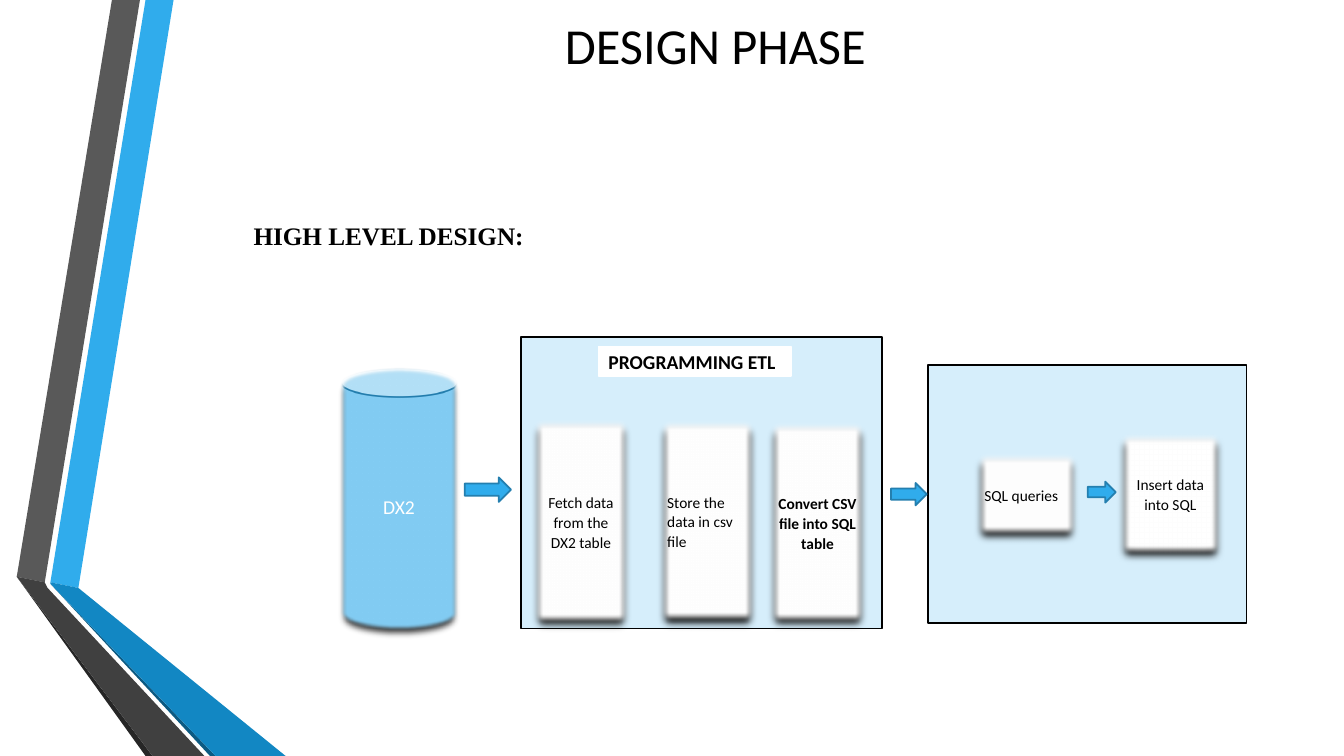
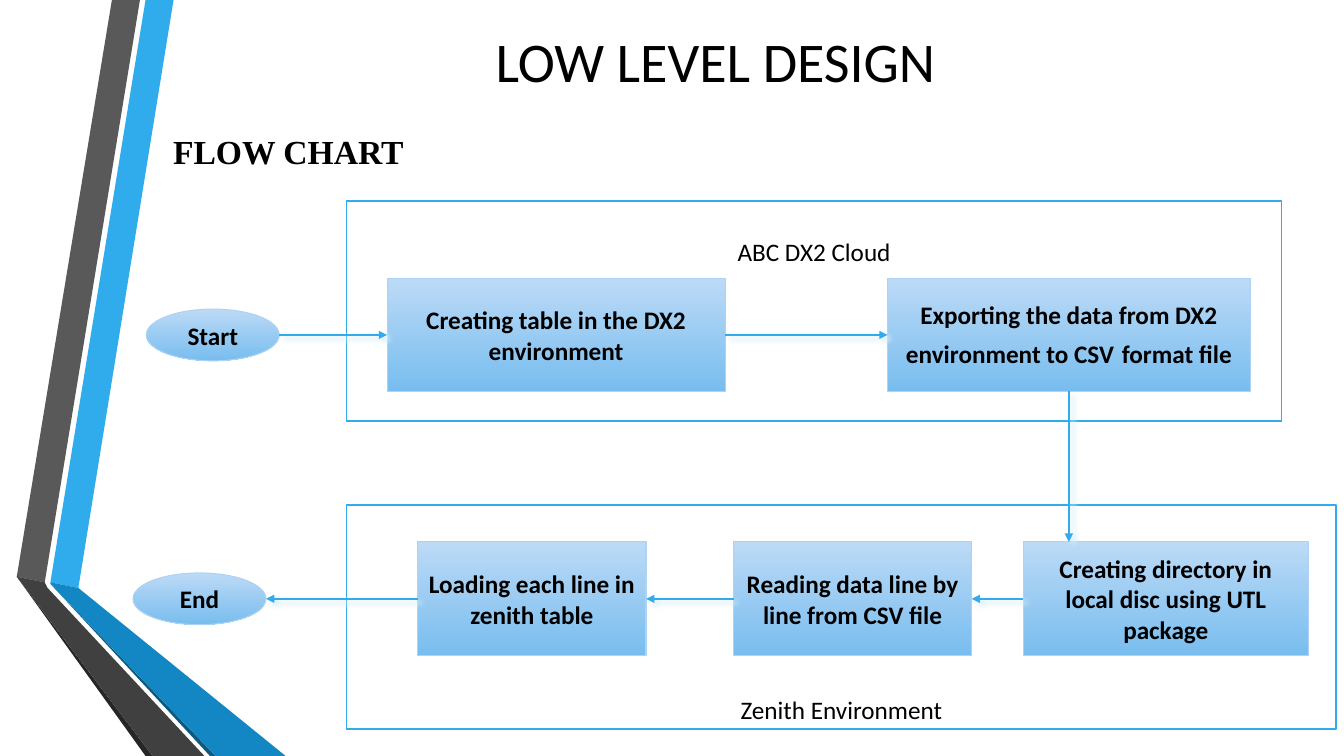
from dataclasses import dataclass

import lxml.etree
import pptx
import pptx.dml.color
import pptx.enum.shapes
import pptx.enum.text
import pptx.oxml.ns
import pptx.presentation
import pptx.shapes.autoshape
import pptx.shapes.base
import pptx.slide
import pptx.util

Pt = pptx.util.Pt
Preset = pptx.enum.shapes.MSO_SHAPE
Align = pptx.enum.text.PP_ALIGN
Anchor = pptx.enum.text.MSO_ANCHOR
qn = pptx.oxml.ns.qn


@dataclass(frozen=True)
class Theme:
    black: str = "000000"
    white: str = "FFFFFF"
    accent: str = "30ACEC"
    accent_edge: str = "247FAF"
    pale: str = "D6EEFB"
    database: str = "83CDF4"
    shadow: str = "212121"
    gradient: tuple[str, str] = ("BCDAF6", "78BDEF")
    gradient_edge: str = "AED2F4"
    body_font: str = "Calibri"
    heading_font: str = "Times New Roman"
    small: float = 11
    label: float = 14
    body: float = 18
    large: float = 24
    edge: float = 1.25


THEME = Theme()


@dataclass(frozen=True)
class Box:
    left: float
    top: float
    width: float
    height: float

    @property
    def right(self) -> float:
        return self.left + self.width

    @property
    def bottom(self) -> float:
        return self.top + self.height

    @property
    def center(self) -> float:
        return self.left + self.width / 2

    @property
    def middle(self) -> float:
        return self.top + self.height / 2

    def lengths(self) -> tuple[pptx.util.Length, ...]:
        return Pt(self.left), Pt(self.top), Pt(self.width), Pt(self.height)


@dataclass(frozen=True)
class Card:
    box: Box
    text: str
    align: Align = Align.CENTER
    bold: bool = False


@dataclass(frozen=True)
class Node:
    """A flow chart step; its text may be pieces, each with its own size."""
    box: Box
    text: str | tuple[tuple[str, float], ...]
    preset: Preset = Preset.RECTANGLE


@dataclass(frozen=True)
class Band:
    color: str
    points: tuple[tuple[float, float], ...]


BANDS = (
    Band(THEME.accent, ((36, 416), (55.5, 420), (124.5, 0), (104.5, 0))),
    Band("595959", ((100, 0), (80, 0), (11.75, 412.5), (31.75, 415.5))),
    Band("262626", ((11.75, 412.5), (104.5, 540), (109, 540))),
    Band("0C5A82", ((36, 417), (150, 540), (154, 540))),
    Band("1287C3", ((36, 416), (36, 417), (154, 540), (204, 540), (55.5, 420))),
    Band("404040", ((11.75, 412.5), (109, 540), (145.5, 540), (34.5, 420), (31.75, 415.5))),
)


def rgb(color: str) -> pptx.dml.color.RGBColor:
    return pptx.dml.color.RGBColor.from_string(color)


def write_text(
    shape: pptx.shapes.autoshape.Shape,
    text: str | tuple[tuple[str, float], ...],
    *,
    size: float = THEME.body,
    font: str = THEME.body_font,
    color: str = THEME.black,
    bold: bool = False,
    align: Align = Align.CENTER,
    anchor: Anchor = Anchor.MIDDLE,
    wrap: bool = True,
    line_spacing: float = 1.0,
    space_after: float = 0,
    margin_top: float = 3.6,
) -> None:
    frame = shape.text_frame
    frame.word_wrap = wrap
    frame.vertical_anchor = anchor
    frame.margin_top = Pt(margin_top)
    paragraph = frame.paragraphs[0]
    paragraph.alignment = align
    paragraph.line_spacing = line_spacing
    paragraph.space_after = Pt(space_after)
    pieces = ((text, size),) if isinstance(text, str) else text
    for piece, piece_size in pieces:
        run = paragraph.add_run()
        run.text = piece
        run.font.size = Pt(piece_size)
        run.font.name = font
        run.font.bold = bold
        run.font.color.rgb = rgb(color)


def set_effects(
    shape: pptx.shapes.base.BaseShape, *, shadow: str, angle: int = 90, soft_edge: float = 0
) -> None:
    properties = shape.element.spPr
    effects = properties.find(qn("a:effectLst"))
    if effects is None:
        effects = lxml.etree.SubElement(properties, qn("a:effectLst"))
    outer = lxml.etree.SubElement(
        effects, qn("a:outerShdw"), blurRad=str(Pt(4)), dist=str(Pt(4)),
        dir=str(angle * 60000), rotWithShape="0",
    )
    lxml.etree.SubElement(outer, qn("a:srgbClr"), val=shadow)
    if soft_edge:
        lxml.etree.SubElement(effects, qn("a:softEdge"), rad=str(Pt(soft_edge)))


def add_shape(
    slide: pptx.slide.Slide,
    box: Box,
    *,
    preset: Preset = Preset.RECTANGLE,
    fill: str | tuple[str, str] | None = None,
    line: str,
    width: float = THEME.edge,
) -> pptx.shapes.autoshape.Shape:
    """Add a preset shape; a pair of fill colours runs from top to bottom."""
    shape = slide.shapes.add_shape(preset, *box.lengths())
    shape.shadow.inherit = False
    if fill is None:
        shape.fill.background()
    elif isinstance(fill, str):
        shape.fill.solid()
        shape.fill.fore_color.rgb = rgb(fill)
    else:
        shape.fill.gradient()
        shape.fill.gradient_angle = 270
        for stop, color in zip(shape.fill.gradient_stops, fill):
            stop.color.rgb = rgb(color)
    shape.line.color.rgb = rgb(line)
    shape.line.width = Pt(width)
    return shape


def add_heading(
    slide: pptx.slide.Slide, text: str, left: float, top: float, size: float
) -> None:
    shape = slide.shapes.add_textbox(*Box(left, top, 220, size * 1.6).lengths())
    write_text(shape, text, size=size, font=THEME.heading_font, bold=True,
               align=Align.LEFT, anchor=Anchor.TOP, wrap=False)


def add_base_slide(
    presentation: pptx.presentation.Presentation, title: str, title_middle: float, size: float
) -> pptx.slide.Slide:
    """Add a blank slide with the folded bands and the title."""
    slide = presentation.slides.add_slide(presentation.slide_layouts[6])
    for band in BANDS:
        start, *others = band.points
        builder = slide.shapes.build_freeform(*start, scale=float(Pt(1)))
        builder.add_line_segments(others, close=True)
        shape = builder.convert_to_shape()
        shape.shadow.inherit = False
        shape.fill.solid()
        shape.fill.fore_color.rgb = rgb(band.color)
        shape.line.fill.background()
    box = Box(116.5, title_middle - 30, 789, 60)
    write_text(slide.shapes.add_textbox(*box.lengths()), title, size=size)
    return slide


def add_card(slide: pptx.slide.Slide, card: Card) -> None:
    shape = add_shape(slide, card.box, fill=THEME.white, line=THEME.white)
    set_effects(shape, shadow=THEME.black, soft_edge=5)
    write_text(shape, card.text, size=THEME.small, bold=card.bold, align=card.align,
               line_spacing=1.07, space_after=8)


def add_node(slide: pptx.slide.Slide, node: Node) -> None:
    shape = add_shape(slide, node.box, preset=node.preset, fill=THEME.gradient,
                      line=THEME.gradient_edge, width=0.75)
    write_text(shape, node.text, bold=True)


def add_flow_line(
    slide: pptx.slide.Slide, start: tuple[float, float], end: tuple[float, float]
) -> None:
    connector = slide.shapes.add_connector(
        pptx.enum.shapes.MSO_CONNECTOR.STRAIGHT, *map(Pt, start + end)
    )
    connector.line.color.rgb = rgb(THEME.accent)
    connector.line.width = Pt(1.75)
    line = connector.element.spPr.find(qn("a:ln"))
    lxml.etree.SubElement(line, qn("a:tailEnd"), type="triangle")
    set_effects(connector, shadow=THEME.pale, angle=40)


def build_high_level(presentation: pptx.presentation.Presentation) -> None:
    slide = add_base_slide(presentation, "DESIGN PHASE", 31.5, 36)
    add_heading(slide, "HIGH LEVEL DESIGN:", 174, 154, THEME.body)

    database = add_shape(slide, Box(244, 263.5, 82, 186), preset=Preset.CAN,
                         fill=THEME.database, line=THEME.accent_edge)
    set_effects(database, shadow=THEME.shadow, soft_edge=2.5)
    write_text(database, "DX2", size=THEME.label, color=THEME.white,
               line_spacing=1.07, space_after=8)

    for panel in (Box(372, 240.5, 258, 208.5), Box(663, 260.5, 227.5, 184.5)):
        add_shape(slide, panel, fill=THEME.pale, line=THEME.black)
    label = add_shape(slide, Box(427.5, 247.5, 137.5, 21), fill=THEME.white,
                      line=THEME.white, width=1)
    write_text(label, "PROGRAMMING ETL", size=THEME.label, bold=True, align=Align.LEFT,
               line_spacing=1.07, space_after=8)

    for card in (
        Card(Box(379, 297.5, 72, 150), "Fetch data from the DX2 table"),
        Card(Box(469.5, 298, 72, 148.5), "Store the data in csv file", Align.LEFT),
        Card(Box(548, 299.5, 72, 147.5), "Convert CSV file into SQL table", bold=True),
        Card(Box(696, 322, 75, 62.5), "SQL queries", Align.LEFT),
        Card(Box(798, 307.5, 76, 90.5), "Insert data into SQL"),
    ):
        add_card(slide, card)
    for arrow in (Box(332, 341, 33, 17.5), Box(636.5, 345, 25.5, 16), Box(777, 344, 20, 15)):
        add_shape(slide, arrow, preset=Preset.RIGHT_ARROW, fill=THEME.accent,
                  line=THEME.accent_edge)


def build_low_level(presentation: pptx.presentation.Presentation) -> None:
    slide = add_base_slide(presentation, "LOW LEVEL DESIGN", 43, 40)
    add_heading(slide, "FLOW CHART", 116.5, 90, THEME.large)

    export_text = (("Exporting the data from DX2 environment to CSV", THEME.body),
                   (" ", THEME.large), ("format file", THEME.body))
    upper = (
        Node(Box(104.5, 220.75, 95, 37), "Start", Preset.OVAL),
        Node(Box(276.5, 199, 241.5, 80.5), "Creating table in the DX2 environment"),
        Node(Box(634, 199, 259, 80.5), export_text),
    )
    lower = (
        Node(Box(731, 387, 203.5, 81.5), "Creating directory in local disc using UTL package"),
        Node(Box(524, 387, 170, 81.5), "Reading data line by line from CSV file"),
        Node(Box(298.5, 387, 163, 81.5), "Loading each line in zenith table"),
        Node(Box(95, 409.25, 95, 37), "End", Preset.OVAL),
    )
    for node in upper + lower:
        add_node(slide, node)

    cloud = add_shape(slide, Box(247.5, 143.5, 668, 157), line=THEME.accent)
    write_text(cloud, "ABC DX2 Cloud", anchor=Anchor.TOP, margin_top=25.6)
    environment = add_shape(slide, Box(247.5, 360.5, 707, 160.5), line=THEME.accent)
    write_text(environment, "Zenith Environment", anchor=Anchor.BOTTOM)

    for source, target in zip(upper, upper[1:]):
        add_flow_line(slide, (source.box.right, source.box.middle),
                      (target.box.left, source.box.middle))
    for source, target in zip(lower, lower[1:]):
        add_flow_line(slide, (source.box.left, source.box.middle),
                      (target.box.right, source.box.middle))
    export, directory = upper[-1].box, lower[0].box
    add_flow_line(slide, (export.center, export.bottom), (export.center, directory.top))


def main() -> None:
    presentation = pptx.Presentation()
    presentation.slide_width = Pt(960)
    presentation.slide_height = Pt(540)
    build_high_level(presentation)
    build_low_level(presentation)
    presentation.save("out.pptx")


if __name__ == "__main__":
    main()
